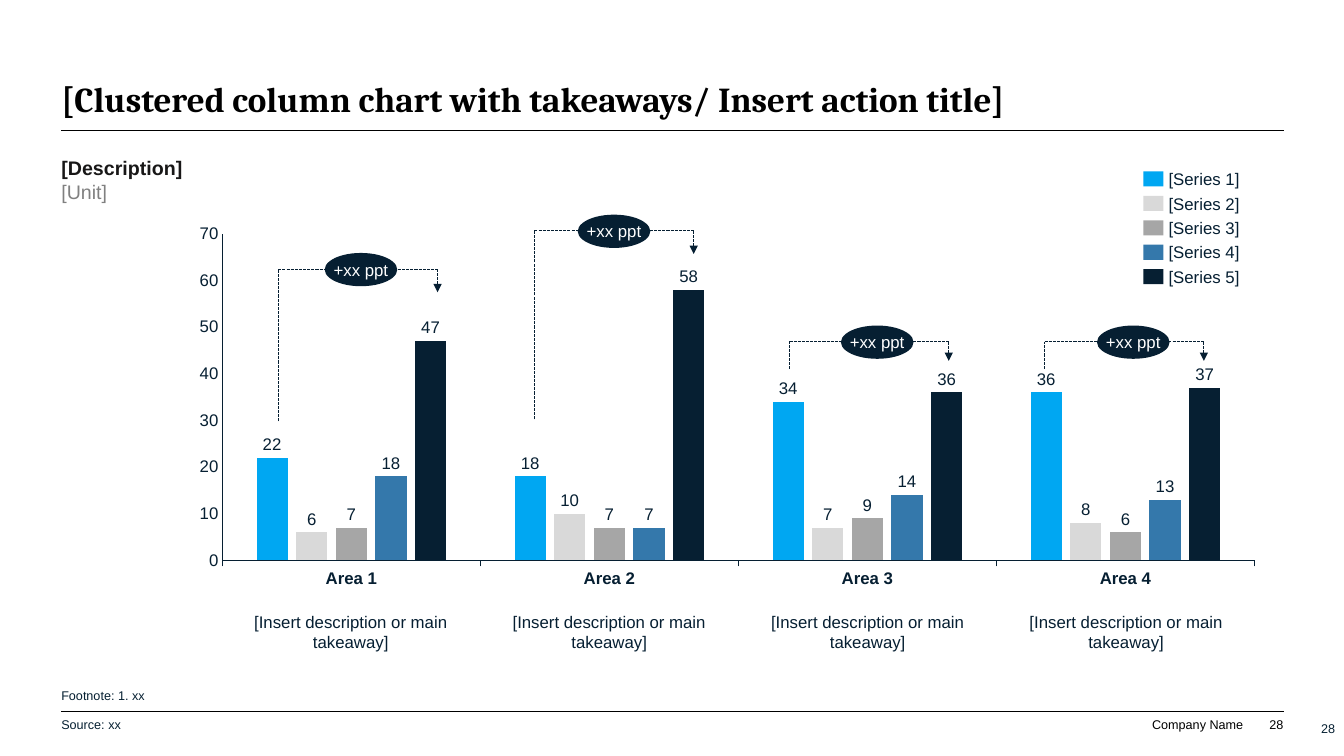
from dataclasses import dataclass

from lxml import etree
from pptx import Presentation
from pptx.chart.data import CategoryChartData
from pptx.dml.color import RGBColor
from pptx.enum.chart import XL_CHART_TYPE, XL_LABEL_POSITION, XL_TICK_MARK
from pptx.enum.dml import MSO_LINE
from pptx.enum.shapes import MSO_CONNECTOR, MSO_SHAPE
from pptx.enum.text import MSO_ANCHOR, PP_ALIGN
from pptx.oxml import parse_xml
from pptx.oxml.ns import nsdecls, qn
from pptx.util import Inches, Pt

LEFT, CENTER, RIGHT = PP_ALIGN.LEFT, PP_ALIGN.CENTER, PP_ALIGN.RIGHT
TOP, MIDDLE, BOTTOM = MSO_ANCHOR.TOP, MSO_ANCHOR.MIDDLE, MSO_ANCHOR.BOTTOM
NAVY, FOOT, BLACK, WHITE = "061F32", "062032", "000000", "FFFFFF"
AREAS = ["Area 1", "Area 2", "Area 3", "Area 4"]
NO_INSETS = (0, 0, 0, 0)
BOX_INSETS = (0.1, 0.05, 0.1, 0.05)


@dataclass
class Series:
    name: str
    values: tuple[int, ...]
    color: str


@dataclass
class Bracket:
    """Dashed growth arrow from the first to the last column of an area."""
    left: float
    top: float
    start: float
    tip: float
    oval_left: float


@dataclass
class Label:
    text: str
    at: tuple[float, float, float, float]
    size: float
    color: str
    align: PP_ALIGN = LEFT
    anchor: MSO_ANCHOR = MIDDLE
    insets: tuple[float, ...] = NO_INSETS
    wrap: bool = True
    bold: bool = False
    font: str = "Arial"
    space: float = 0


SERIES = [
    Series("Series 1", (22, 18, 34, 36), "00A7F2"),
    Series("Series 2", (6, 10, 7, 8), "D9D9D9"),
    Series("Series 3", (7, 7, 9, 6), "A6A6A6"),
    Series("Series 4", (18, 7, 14, 13), "3478AB"),
    Series("Series 5", (47, 58, 36, 37), NAVY),
]
BRACKETS = [
    Bracket(2.76, 2.67, 4.18, 2.9, 3.22),
    Bracket(5.3, 2.29, 4.16, 2.52, 5.73),
    Bracket(7.83, 3.39, 3.66, 3.58, 8.34),
    Bracket(10.36, 3.39, 3.66, 3.58, 10.88),
]
BRACKET_WIDTH = 1.58
LABELS = [
    Label("[Clustered column chart with takeaways/ Insert action title]",
          (0.61, 0.39, 12.12, 0.8), 25, BLACK, anchor=BOTTOM, bold=True, font="Cambria"),
    Label("Company Name", (11.42, 7.11, 0.91, 0.15), 9, BLACK, RIGHT, BOTTOM, wrap=False),
    Label("28", (12.37, 7.11, 0.36, 0.15), 9, BLACK, RIGHT, BOTTOM),
    Label("28", (12.75, 7.03, 0.59, 0.4), 9, FOOT, RIGHT, insets=BOX_INSETS),
    Label("Source: xx", (0.51, 6.99, 7.98, 0.4), 9, FOOT, insets=BOX_INSETS),
    Label("Footnote: 1. xx", (0.51, 6.7, 10.27, 0.4), 9, FOOT, insets=BOX_INSETS),
]


def rgb(color: str) -> RGBColor:
    return RGBColor.from_string(color)


def set_font(font, size: float, color: str, bold: bool = False, name: str = "Arial") -> None:
    for key, value in {"size": Pt(size), "bold": bold, "name": name}.items():
        setattr(font, key, value)
    font.color.rgb = rgb(color)


def set_frame(tf, insets: tuple[float, ...], anchor: MSO_ANCHOR, wrap: bool) -> None:
    sides = ("margin_left", "margin_top", "margin_right", "margin_bottom")
    for side, inset in zip(sides, insets):
        setattr(tf, side, Inches(inset))
    tf.vertical_anchor, tf.word_wrap = anchor, wrap


def add_run(p, text: str, size: float, color: str, bold: bool = False, name: str = "Arial") -> None:
    r = p.add_run()
    r.text = text
    set_font(r.font, size, color, bold, name)


def add_label(s, label: Label) -> None:
    tf = s.shapes.add_textbox(*map(Inches, label.at)).text_frame
    set_frame(tf, label.insets, label.anchor, label.wrap)
    p = tf.paragraphs[0]
    p.alignment = label.align
    p.space_after = Pt(label.space)
    add_run(p, label.text, label.size, label.color, label.bold, label.font)


def add_heading(s) -> None:
    tf = s.shapes.add_textbox(*map(Inches, (0.51, 1.5, 1.41, 0.57))).text_frame
    set_frame(tf, BOX_INSETS, TOP, False)
    add_run(tf.paragraphs[0], "[Description]", 14, "181717", True)
    add_run(tf.add_paragraph(), "[Unit]", 14, "808080")


def add_filled(s, kind: MSO_SHAPE, at: tuple[float, ...], color: str):
    sp = s.shapes.add_shape(kind, *map(Inches, at))
    sp.shadow.inherit = False
    sp.fill.solid()
    sp.fill.fore_color.rgb = rgb(color)
    sp.line.fill.background()
    return sp


def add_line(s, start: tuple[float, float], end: tuple[float, float], color: str,
             width: float, dashed: bool = False, arrow: bool = False) -> None:
    line = s.shapes.add_connector(MSO_CONNECTOR.STRAIGHT, *map(Inches, start + end))
    line.line.color.rgb = rgb(color)
    line.line.width = Pt(width)
    if dashed:
        line.line.dash_style = MSO_LINE.SQUARE_DOT
    if arrow:
        etree.SubElement(line.line._get_or_add_ln(), qn("a:tailEnd"), type="triangle")
    etree.SubElement(line._element.spPr, qn("a:effectLst"))


def add_bracket(s, b: Bracket) -> None:
    right = b.left + BRACKET_WIDTH
    add_line(s, (b.left, b.top), (right, b.top), NAVY, 0.75, dashed=True)
    add_line(s, (b.left, b.start), (b.left, b.top), NAVY, 0.75, dashed=True)
    add_line(s, (right, b.top), (right, b.tip), NAVY, 0.75, dashed=True, arrow=True)
    oval = add_filled(s, MSO_SHAPE.OVAL, (b.oval_left, b.top - 0.16, 0.72, 0.33), NAVY)
    set_frame(oval.text_frame, NO_INSETS, MIDDLE, False)
    p = oval.text_frame.paragraphs[0]
    p.alignment = CENTER
    add_run(p, "+xx ppt", 12, WHITE)


def add_column_chart(s) -> None:
    data = CategoryChartData()
    data.categories = AREAS
    for series in SERIES:
        data.add_series(series.name, series.values)
    chart = s.shapes.add_chart(XL_CHART_TYPE.COLUMN_CLUSTERED,
                               *map(Inches, (1.86, 2.21, 10.81, 3.86)), data).chart
    chart.has_legend = chart.has_title = False
    set_font(chart.font, 10, WHITE)
    plot = chart.plots[0]
    plot.gap_width, plot.overlap, plot.vary_by_categories = 219, -27, False
    for series, bars in zip(SERIES, plot.series):
        bars.format.fill.solid()
        bars.format.fill.fore_color.rgb = rgb(series.color)
        bars.invert_if_negative = False
        labels = bars.data_labels
        labels.show_value, labels.position = True, XL_LABEL_POSITION.OUTSIDE_END
        set_font(labels.font, 12, NAVY)
    for axis, tick, bold in ((chart.category_axis, XL_TICK_MARK.OUTSIDE, True),
                             (chart.value_axis, XL_TICK_MARK.NONE, False)):
        axis.major_tick_mark, axis.minor_tick_mark = tick, XL_TICK_MARK.NONE
        axis.has_major_gridlines = False
        axis.format.line.color.rgb = rgb(NAVY)
        axis.format.line.width = Pt(0.75)
        set_font(axis.tick_labels.font, 12, NAVY, bold)
    scale = {"minimum_scale": 0, "maximum_scale": 70, "major_unit": 10}
    for key, value in scale.items():
        setattr(chart.value_axis, key, value)
    inner = {"layoutTarget": "inner", "xMode": "edge", "yMode": "edge",
             "x": 0.032, "y": 0.028, "w": 0.947, "h": 0.84}
    items = "".join(f'<c:{key} val="{value}"/>' for key, value in inner.items())
    area = chart._chartSpace.chart.plotArea
    for old in area.findall(qn("c:layout")):
        area.remove(old)
    area.insert(0, parse_xml(f'<c:layout {nsdecls("c")}><c:manualLayout>{items}'
                             '</c:manualLayout></c:layout>'))


def main() -> None:
    prs = Presentation()
    prs.slide_width, prs.slide_height = Inches(13.33), Inches(7.5)
    s = prs.slides.add_slide(prs.slide_layouts[6])
    for y in (1.29, 7.06):
        add_line(s, (0.61, y), (12.73, y), BLACK, 0.5)
    add_column_chart(s)
    for label in LABELS:
        add_label(s, label)
    add_heading(s)
    for i, series in enumerate(SERIES):
        y = 1.7 + i * 0.2425
        add_filled(s, MSO_SHAPE.RECTANGLE, (11.34, y, 0.2, 0.15), series.color)
        add_label(s, Label(f"[{series.name}]", (11.59, y - 0.01, 0.71, 0.17), 12, NAVY, wrap=False))
    for i, bracket in enumerate(BRACKETS):
        add_bracket(s, bracket)
        add_label(s, Label("[Insert description or main takeaway]",
                           (2.2 + i * 2.5633, 6.07, 2.56, 0.63), 12, NAVY, CENTER, TOP,
                           (0.1, 0, 0.1, 0), space=3))
    prs.save("out.pptx")


if __name__ == "__main__":
    main()
